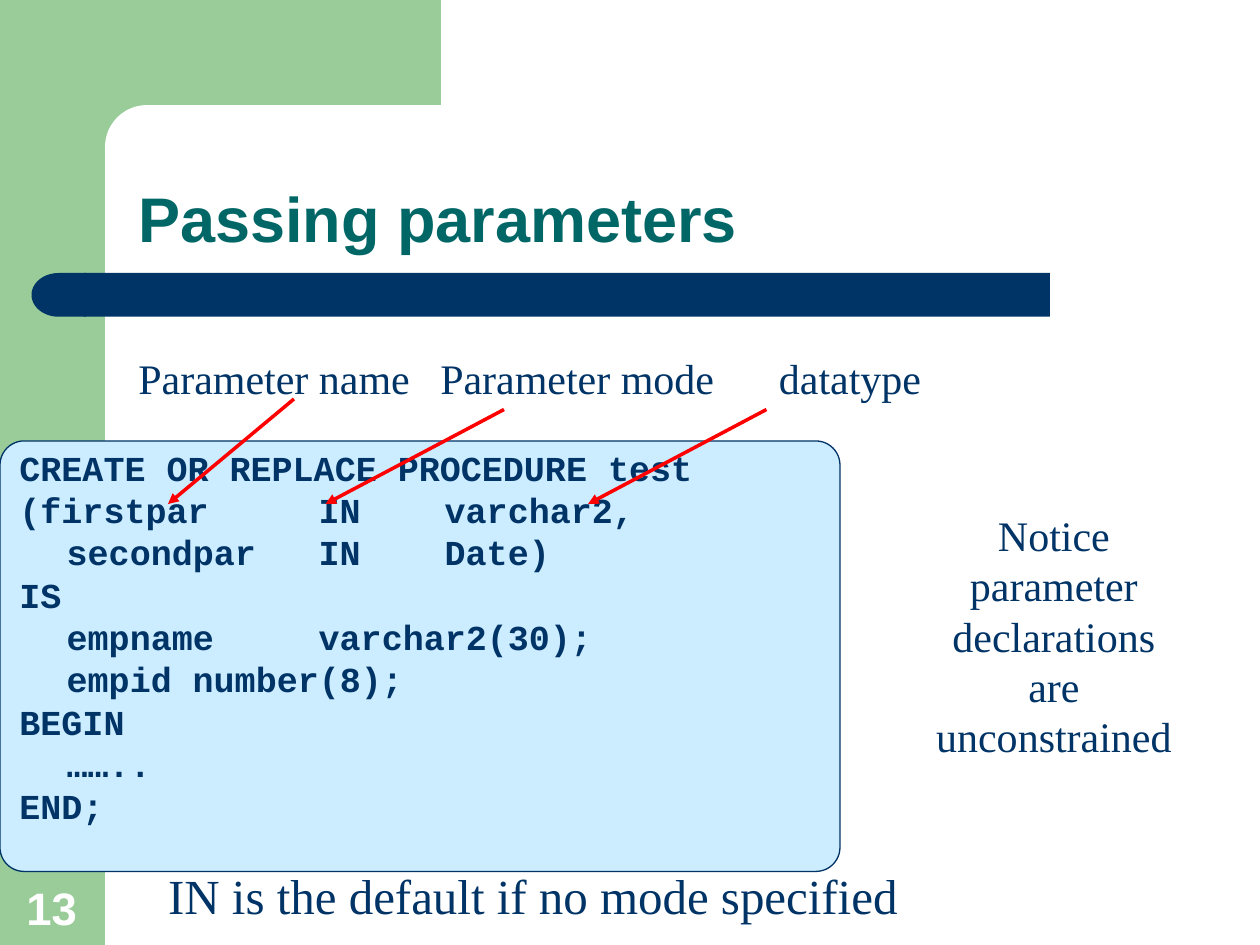
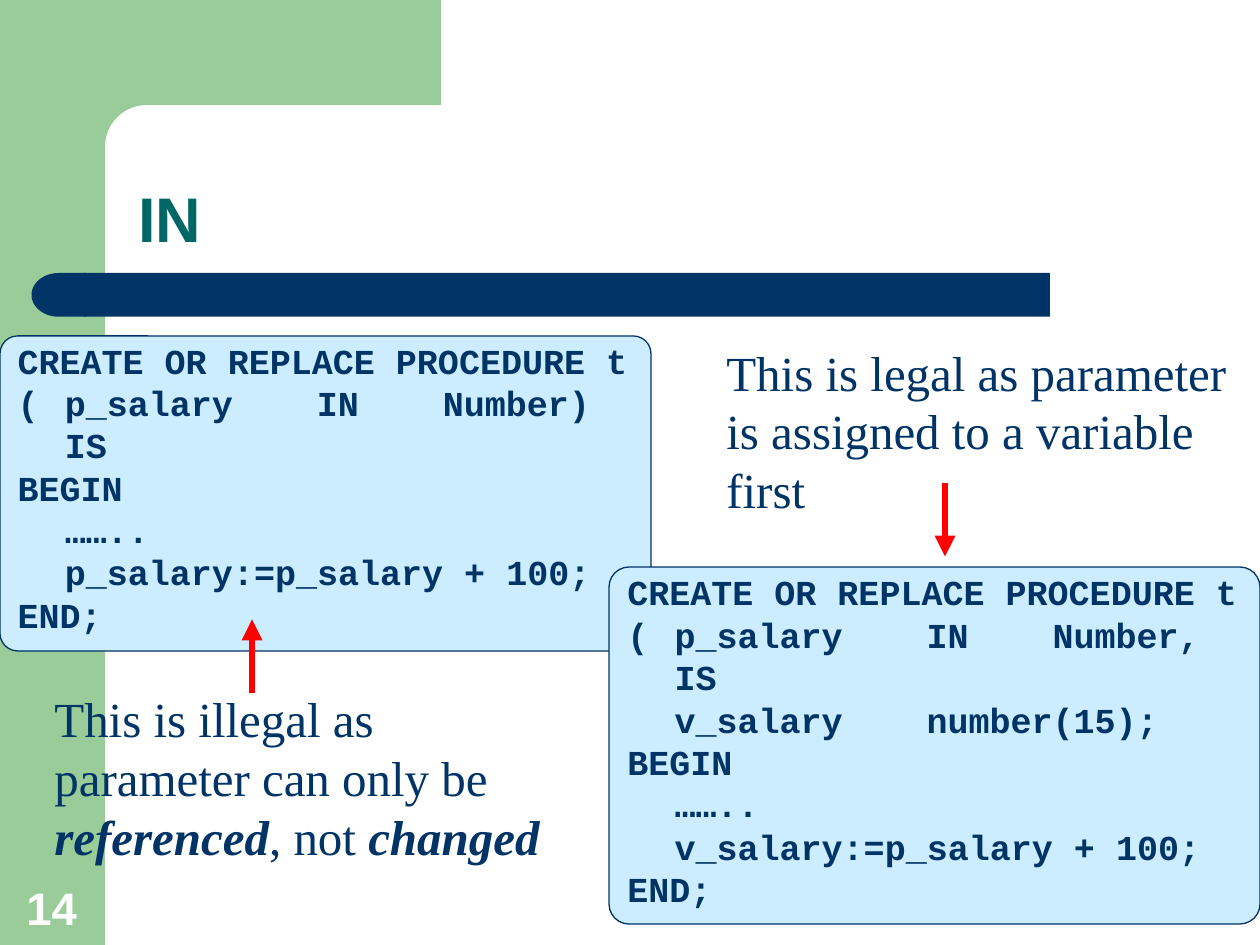
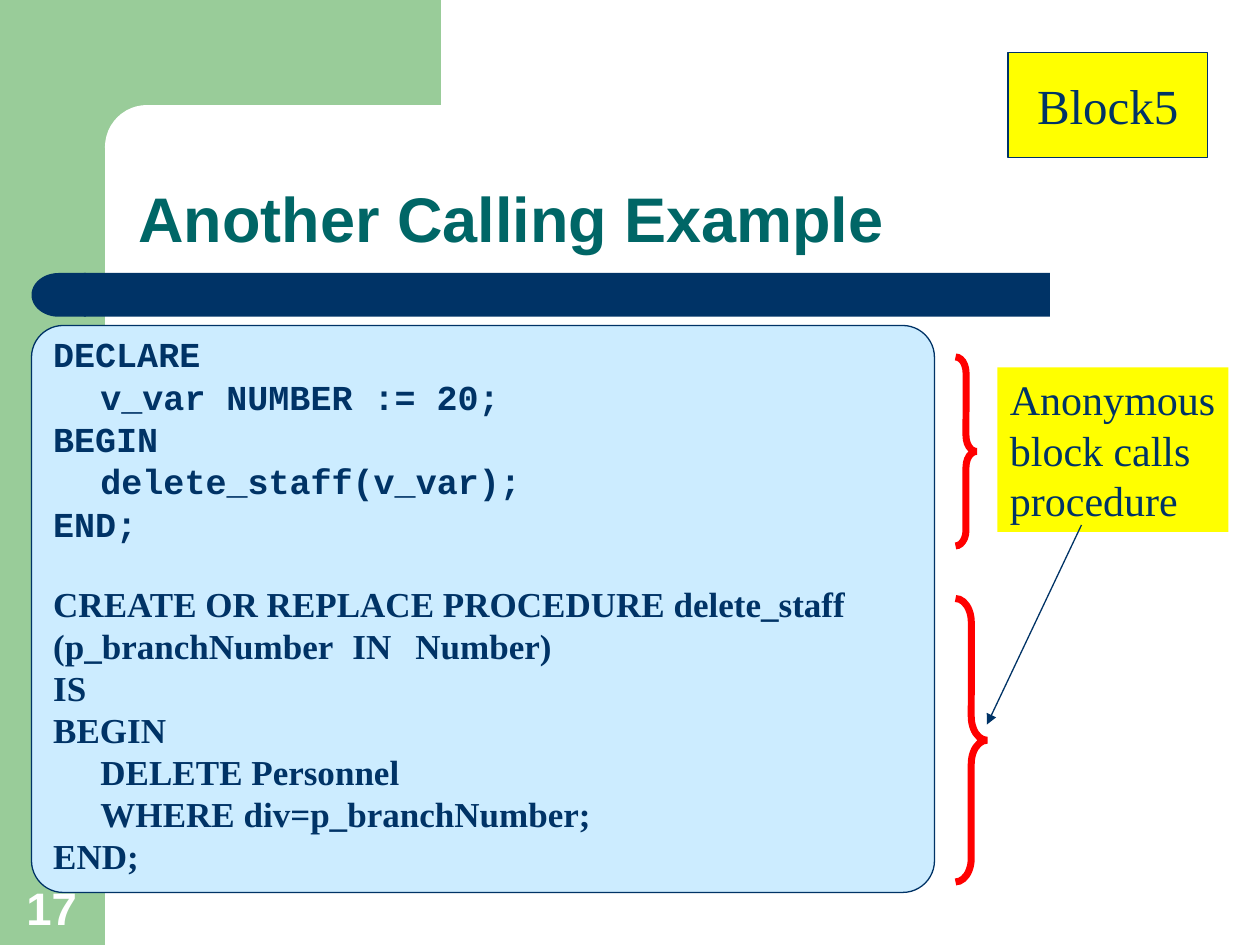
from lxml.etree import SubElement
from pptx import Presentation
from pptx.dml.color import RGBColor
from pptx.enum.shapes import MSO_CONNECTOR, MSO_SHAPE
from pptx.enum.text import MSO_ANCHOR, PP_ALIGN
from pptx.oxml.ns import qn
from pptx.util import Pt

COLOURS = {
    "green": "99CC99", "navy": "003366", "teal": "006666", "white": "FFFFFF",
    "code": "CCECFF", "yellow": "FFFF00", "red": "FF0000",
}
SANS, SERIF, MONO = "Arial", "Times New Roman", "Courier New"
INDENT = 27

BACKDROP = [
    (MSO_SHAPE.RECTANGLE, (0, 0, 60, 540), "green", 0),
    (MSO_SHAPE.RECTANGLE, (54, 0, 198, 84), "green", 0),
    (MSO_SHAPE.ROUNDED_RECTANGLE, (60, 60, 402, 48), "white", 0),
    (MSO_SHAPE.RECTANGLE, (48, 156, 552, 25), "navy", 0),
    (MSO_SHAPE.FLOWCHART_DELAY, (18, 156, 31, 25), "navy", 180),
]
TITLE_BOX = (72, 60, 630, 90)
NUMBER_BOX = (8, 499, 46, 38.5)

SLIDES = [
    {
        "title": "Passing parameters",
        "number": "13",
        "code": [{
            "box": (0, 252, 480, 246),
            "lines": [
                "CREATE OR REPLACE PROCEDURE test",
                "(firstpar\tIN\tvarchar2,",
                "\tsecondpar\tIN\tDate)",
                "IS",
                "\tempname\tvarchar2(30);",
                "\tempid\tnumber(8);",
                "BEGIN",
                "\t……..",
                "END;",
            ],
        }],
        "notes": [
            {"text": "Parameter name", "box": (72, 198, 171, 36), "size": 24, "wrap": False},
            {"text": "Parameter mode", "box": (244.5, 198, 173, 36), "size": 24, "wrap": False},
            {"text": "datatype", "box": (438, 198, 98, 36), "size": 24, "wrap": False},
            {"text": "IN is the default if no mode specified",
             "box": (89, 491, 435, 41), "size": 28, "wrap": False},
            {"text": "Notice parameter declarations are unconstrained",
             "box": (520.5, 287.5, 163.5, 151), "size": 24, "align": PP_ALIGN.CENTER},
        ],
        "arrows": [
            ((168, 228), (96, 288), "red", 2),
            ((288, 234), (186, 288), "red", 2),
            ((438, 234), (336, 288), "red", 2),
        ],
    },
    {
        "title": "IN",
        "number": "14",
        "code": [
            {
                "box": (0, 192, 372, 180),
                "lines": [
                    "CREATE OR REPLACE PROCEDURE t",
                    "(\tp_salary\tIN\tNumber)",
                    "\tIS",
                    "BEGIN",
                    "\t……..",
                    "\tp_salary:=p_salary + 100;",
                    "END;",
                ],
            },
            {
                "box": (348, 324, 372, 204),
                "lines": [
                    "CREATE OR REPLACE PROCEDURE t",
                    "(\tp_salary\tIN\tNumber,",
                    "\tIS",
                    "\tv_salary\tnumber(15);",
                    "BEGIN",
                    "\t……..",
                    "\tv_salary:=p_salary + 100;",
                    "END;",
                ],
            },
        ],
        "notes": [
            {"text": "This is illegal as parameter can only be *referenced*, not *changed*",
             "box": (24, 390, 312, 108), "size": 28},
            {"text": "This is legal as parameter is assigned to a variable first",
             "box": (408, 192, 312, 108), "size": 28},
        ],
        "arrows": [
            ((144, 396), (144, 354), "red", 4),
            ((540, 276), (540, 318), "red", 4),
        ],
    },
    {
        "title": "Another Calling Example",
        "number": "17",
        "code": [{
            "box": (18, 186, 516, 324),
            "tab_step": 36,
            "lines": [
                "DECLARE",
                "\tv_var\tNUMBER := 20;",
                "BEGIN",
                "\tdelete_staff(v_var);",
                "END;",
            ],
            "procedure": [
                "CREATE OR REPLACE PROCEDURE delete_staff",
                "(p_branchNumber\tIN\tNumber)",
                "IS",
                "BEGIN",
                "\tDELETE Personnel",
                "\tWHERE div=p_branchNumber;",
                "END;",
            ],
        }],
        "notes": [
            {"text": "Anonymous block calls procedure", "box": (570, 210, 132, 94),
             "size": 24, "fill": "yellow"},
            {"text": "Block5", "box": (576, 30, 114, 60), "size": 28, "fill": "yellow",
             "line": "navy", "wrap": False, "align": PP_ALIGN.CENTER,
             "anchor": MSO_ANCHOR.MIDDLE},
        ],
        "arrows": [((618, 300), (564, 414), "navy", 0.75)],
        "braces": [(546, 342, 18, 162), (546, 204, 12, 108)],
    },
]


def colour(name):
    return RGBColor.from_string(COLOURS[name])


def add_outline(slide, kind, box, fill=None, line=None, width=0.75):
    outline = slide.shapes.add_shape(kind, *map(Pt, box))
    outline.shadow.inherit = False
    for part, shade in ((outline.fill, fill), (outline.line.fill, line)):
        if shade:
            part.solid()
            part.fore_color.rgb = colour(shade)
        else:
            part.background()
    if line:
        outline.line.width = Pt(width)
    return outline


def style(paragraph, face, size, shade, bold=False):
    font = paragraph.font
    font.name, font.size, font.bold = face, Pt(size), bold
    font.color.rgb = colour(shade)


def add_heading(slide, text, box, size, shade, spacing):
    frame = slide.shapes.add_textbox(*map(Pt, box)).text_frame
    frame.word_wrap = True
    frame.vertical_anchor = MSO_ANCHOR.BOTTOM
    heading = frame.paragraphs[0]
    heading.text = text
    heading.line_spacing = spacing
    style(heading, SANS, size, shade, True)


def add_note(slide, text, box, size, fill=None, line=None, wrap=True,
             align=PP_ALIGN.LEFT, anchor=MSO_ANCHOR.TOP):
    if fill:
        note = add_outline(slide, MSO_SHAPE.RECTANGLE, box, fill, line)
    else:
        note = slide.shapes.add_textbox(*map(Pt, box))
    frame = note.text_frame
    frame.word_wrap = wrap
    frame.vertical_anchor = anchor
    paragraph = frame.paragraphs[0]
    paragraph.alignment = align
    style(paragraph, SERIF, size, "navy")
    for index, piece in enumerate(text.split("*")):
        if piece:
            run = paragraph.add_run()
            run.text = piece
            if index % 2:
                run.font.bold = run.font.italic = True


def add_code(slide, box, lines, procedure=(), tab_step=72):
    panel = add_outline(slide, MSO_SHAPE.ROUNDED_RECTANGLE, box, "code", "navy")
    panel.adjustments[0] = 0.056
    frame = panel.text_frame
    frame.word_wrap = True
    frame.vertical_anchor = MSO_ANCHOR.TOP
    rows = [(line, MONO, 0.8, 5) for line in lines]
    rows += [(line, SERIF, 1.0, 0 if index else 22) for index, line in enumerate(procedure)]
    for index, (line, face, spacing, before) in enumerate(rows):
        paragraph = frame.add_paragraph() if index else frame.paragraphs[0]
        paragraph.text = line
        paragraph.alignment = PP_ALIGN.LEFT
        paragraph.line_spacing = spacing
        paragraph.space_before = Pt(before)
        properties = paragraph._p.get_or_add_pPr()
        properties.set("marL", str(Pt(INDENT)))
        properties.set("indent", str(-Pt(INDENT)))
        properties.set("defTabSz", str(Pt(tab_step)))
        style(paragraph, face, 20, "navy", True)


def add_arrow(slide, start, end, shade, width):
    arrow = slide.shapes.add_connector(MSO_CONNECTOR.STRAIGHT, *map(Pt, start + end))
    arrow.line.color.rgb = colour(shade)
    arrow.line.width = Pt(width)
    SubElement(arrow.line._get_or_add_ln(), qn("a:tailEnd"), type="triangle")
    SubElement(arrow._element.spPr, qn("a:effectLst"))


def add_brace(slide, box):
    brace = add_outline(slide, MSO_SHAPE.RIGHT_BRACE, box, line="red", width=4)
    brace.adjustments[0] = 0.75
    SubElement(brace.line._get_or_add_ln(), qn("a:miter"), lim="800000")


def build_slide(deck, content):
    slide = deck.slides.add_slide(deck.slide_layouts[6])
    for kind, box, fill, turn in BACKDROP:
        piece = add_outline(slide, kind, box, fill)
        piece.rotation = turn
        if kind == MSO_SHAPE.ROUNDED_RECTANGLE:
            piece.adjustments[0] = 0.5
    add_heading(slide, content["title"], TITLE_BOX, 36, "teal", 0.9)
    for code in content["code"]:
        add_code(slide, **code)
    for note in content["notes"]:
        add_note(slide, **note)
    for arrow in content["arrows"]:
        add_arrow(slide, *arrow)
    for box in content.get("braces", ()):
        add_brace(slide, box)
    add_heading(slide, content["number"], NUMBER_BOX, 26, "white", 1.0)


def main():
    deck = Presentation()
    deck.slide_width, deck.slide_height = Pt(720), Pt(540)
    for content in SLIDES:
        build_slide(deck, content)
    deck.save("out.pptx")


if __name__ == "__main__":
    main()
